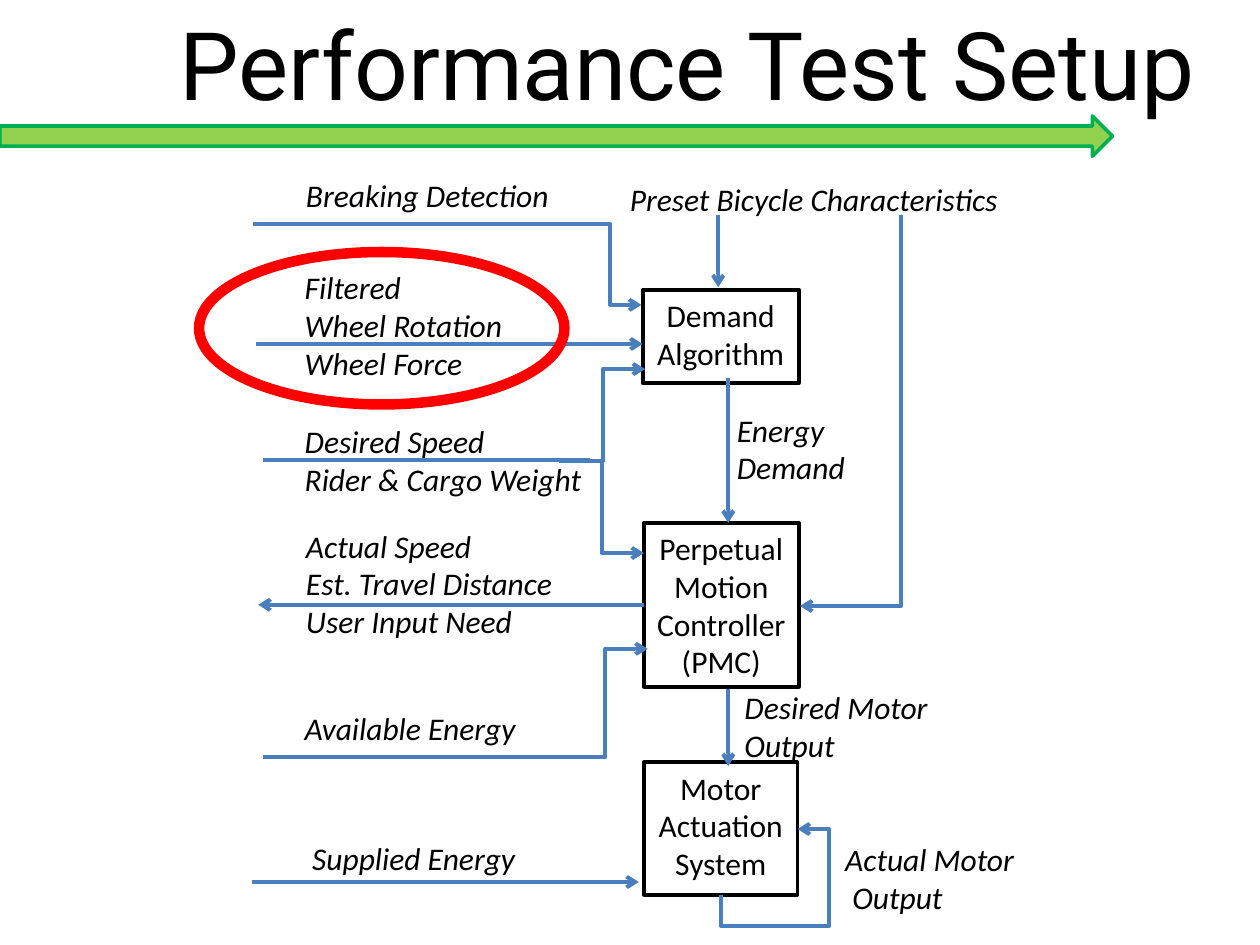
"""Build the performance test setup slide: a control flow diagram with labelled signals."""

from dataclasses import dataclass

from lxml.etree import SubElement
from pptx import Presentation
from pptx.dml.color import RGBColor
from pptx.enum.shapes import MSO_CONNECTOR, MSO_SHAPE
from pptx.enum.text import MSO_ANCHOR, MSO_AUTO_SIZE, PP_ALIGN
from pptx.oxml.ns import qn
from pptx.util import Inches, Pt

Point = tuple[float, float]


@dataclass(frozen=True)
class Theme:
    ink: RGBColor = RGBColor(0, 0, 0)
    signal: RGBColor = RGBColor(0x4B, 0x7E, 0xBC)
    banner_fill: RGBColor = RGBColor(0x92, 0xD0, 0x50)
    banner_line: RGBColor = RGBColor(0x00, 0xB0, 0x50)
    highlight: RGBColor = RGBColor(0xFF, 0, 0)
    title_font: str = "Roboto"
    body_font: str = "Calibri"
    title_size: int = 54
    body_size: int = 18
    line_width: float = 2.25
    banner_width: float = 2
    highlight_width: float = 6


@dataclass(frozen=True)
class Area:
    left: float
    top: float
    width: float
    height: float

    def lengths(self):
        return [Inches(value) for value in (self.left, self.top, self.width, self.height)]


@dataclass(frozen=True)
class Block:
    area: Area
    lines: tuple[str, ...]
    wrap: bool = True


@dataclass(frozen=True)
class Signal:
    start: Point
    end: Point
    head: str | None = "tailEnd"


@dataclass(frozen=True)
class Elbow:
    start: Point
    end: Point
    preset: str = "bentConnector3"
    bends: tuple[float, ...] = ()
    quarter_turn: bool = False


THEME = Theme()

DEMAND = Block(Area(5.1, 2.3, 1.24, 0.74), ("Demand", "Algorithm"), wrap=False)
CONTROLLER = Block(Area(5.11, 4.15, 1.23, 1.3), ("Perpetual Motion", "Controller", "(PMC)"))
MOTOR = Block(Area(5.11, 6.05, 1.22, 1.05), ("Motor", "Actuation", "System"), wrap=False)

LABELS = (
    Block(Area(2.32, 2.08, 1.9, 1.02), ("Filtered", "Wheel Rotation", "Wheel Force")),
    Block(Area(2.32, 3.3, 2.5, 0.71), ("Desired Speed", "Rider & Cargo Weight")),
    Block(Area(2.32, 5.58, 2, 0.4), ("Available Energy",)),
    Block(Area(2.33, 4.13, 2.25, 1.02), ("Actual Speed", "Est. Travel Distance", "User Input Need")),
    Block(Area(5.75, 3.21, 1.15, 0.71), ("Energy", "Demand")),
    Block(Area(4.9, 1.38, 3.22, 0.4), ("Preset Bicycle Characteristics",)),
    Block(Area(5.81, 5.41, 1.75, 0.71), ("Desired Motor", "Output")),
    Block(Area(6.61, 6.62, 1.65, 0.71), ("Actual Motor", " Output")),
    Block(Area(2.38, 6.61, 1.9, 0.4), ("Supplied Energy",)),
    Block(Area(2.33, 1.35, 2.25, 0.4), ("Breaking Detection",)),
)

SIGNALS = (
    Signal((5.7, 1.71), (5.7, 2.28)),
    Signal((5.78, 3), (5.78, 4.15)),
    Signal((5.78, 5.47), (5.78, 6.08)),
    Signal((2.03, 2.73), (5.1, 2.73)),
    Signal((2.09, 3.65), (4.68, 3.65), None),
    Signal((2, 7), (5.07, 7)),
)
STATUS = Signal((2.05, 4.8), (5.11, 4.8), "headEnd")

ELBOWS = (
    Elbow((2.09, 6.01), (5.14, 5.15), bends=(0.89,)),
    Elbow((4.44, 3.66), (5.11, 4.39), bends=(0.5,)),
    Elbow((4.45, 3.66), (5.12, 2.93), bends=(0.5,)),
    Elbow((2.01, 1.78), (5.09, 2.42), bends=(0.92,)),
    Elbow((7.15, 1.71), (6.35, 4.81), "bentConnector2", quarter_turn=True),
    Elbow((5.72, 7.1), (6.33, 6.58), "bentConnector4", (-0.48, 1.41), True),
)


def write(shape, lines: tuple[str, ...], font: str, size: int, *,
          wrap: bool, italic: bool = False, align=PP_ALIGN.LEFT) -> None:
    """Fill a shape with one paragraph for each line."""
    frame = shape.text_frame
    frame.word_wrap = wrap
    frame.auto_size = MSO_AUTO_SIZE.SHAPE_TO_FIT_TEXT
    frame.vertical_anchor = MSO_ANCHOR.TOP
    for index, line in enumerate(lines):
        paragraph = frame.add_paragraph() if index else frame.paragraphs[0]
        paragraph.alignment = align
        span = paragraph.add_run()
        span.text = line
        span.font.name = font
        span.font.size = Pt(size)
        span.font.italic = italic
        span.font.color.rgb = THEME.ink


def draw_shape(page, kind, area: Area, line: RGBColor, width: float, fill: RGBColor | None = None):
    """Draw an outlined preset shape, hollow unless a fill is given."""
    shape = page.shapes.add_shape(kind, *area.lengths())
    shape.shadow.inherit = False
    if fill is None:
        shape.fill.background()
    else:
        shape.fill.solid()
        shape.fill.fore_color.rgb = fill
    shape.line.color.rgb = line
    shape.line.width = Pt(width)
    return shape


def draw_stage(page, block: Block):
    """Draw one processing stage of the diagram."""
    box = draw_shape(page, MSO_SHAPE.RECTANGLE, block.area, THEME.ink, THEME.line_width)
    write(box, block.lines, THEME.body_font, THEME.body_size, wrap=block.wrap, align=PP_ALIGN.CENTER)
    return box


def draw_label(page, block: Block) -> None:
    """Draw the italic name of a signal."""
    box = page.shapes.add_textbox(*block.area.lengths())
    write(box, block.lines, THEME.body_font, THEME.body_size, wrap=block.wrap, italic=True)


def draw_signal(page, signal: Signal, kind=MSO_CONNECTOR.STRAIGHT):
    """Draw a connector with an optional open arrowhead."""
    points = [Inches(value) for value in signal.start + signal.end]
    connector = page.shapes.add_connector(kind, *points)
    connector.line.color.rgb = THEME.signal
    connector.line.width = Pt(THEME.line_width)
    if signal.head:
        SubElement(connector.line._get_or_add_ln(), qn(f"a:{signal.head}"), type="arrow")
    SubElement(connector._element.spPr, qn("a:effectLst"))
    return connector


def turn_back(point: Point, centre: Point) -> Point:
    """Rotate a point a quarter turn anticlockwise about a centre."""
    return centre[0] + point[1] - centre[1], centre[1] - point[0] + centre[0]


def draw_elbow(page, elbow: Elbow) -> None:
    """Draw a bent arrow with its bends at the given fractions."""
    start, end = elbow.start, elbow.end
    if elbow.quarter_turn:
        centre = ((start[0] + end[0]) / 2, (start[1] + end[1]) / 2)
        start, end = turn_back(start, centre), turn_back(end, centre)
    connector = draw_signal(page, Signal(start, end), MSO_CONNECTOR.ELBOW)
    properties = connector._element.spPr
    if elbow.quarter_turn:
        properties.find(qn("a:xfrm")).set("rot", str(90 * 60000))
    geometry = properties.find(qn("a:prstGeom"))
    geometry.set("prst", elbow.preset)
    guides = geometry.find(qn("a:avLst"))
    for number, bend in enumerate(elbow.bends, 1):
        SubElement(guides, qn("a:gd"), name=f"adj{number}", fmla=f"val {round(bend * 100000)}")


def main() -> None:
    """Build and save the deck."""
    deck = Presentation()
    deck.slide_width, deck.slide_height = Inches(10), Inches(7.5)
    page = deck.slides.add_slide(deck.slide_layouts[6])
    title = page.shapes.add_textbox(*Area(1.33, 0, 8.83, 1.01).lengths())
    write(title, ("Performance Test Setup",), THEME.title_font, THEME.title_size, wrap=True)
    draw_shape(page, MSO_SHAPE.RIGHT_ARROW, Area(0, 0.92, 8.83, 0.32),
               THEME.banner_line, THEME.banner_width, THEME.banner_fill)
    draw_stage(page, DEMAND)
    controller = draw_stage(page, CONTROLLER)
    draw_stage(page, MOTOR)
    for label in LABELS:
        draw_label(page, label)
    for signal in SIGNALS:
        draw_signal(page, signal)
    draw_signal(page, STATUS).end_connect(controller, 1)
    for elbow in ELBOWS:
        draw_elbow(page, elbow)
    draw_shape(page, MSO_SHAPE.OVAL, Area(1.58, 2, 2.9, 1.21), THEME.highlight, THEME.highlight_width)
    deck.save("out.pptx")


if __name__ == "__main__":
    main()
